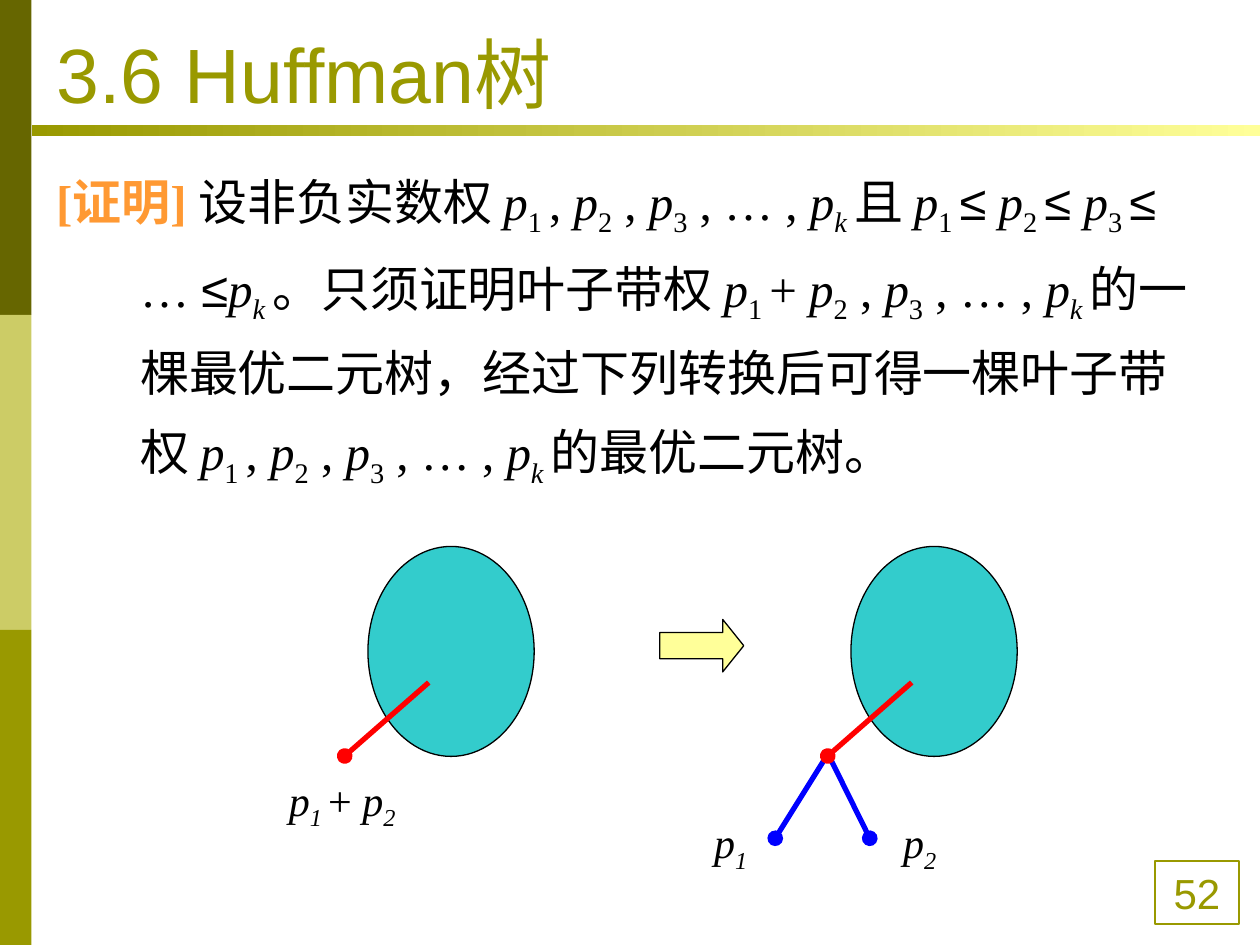
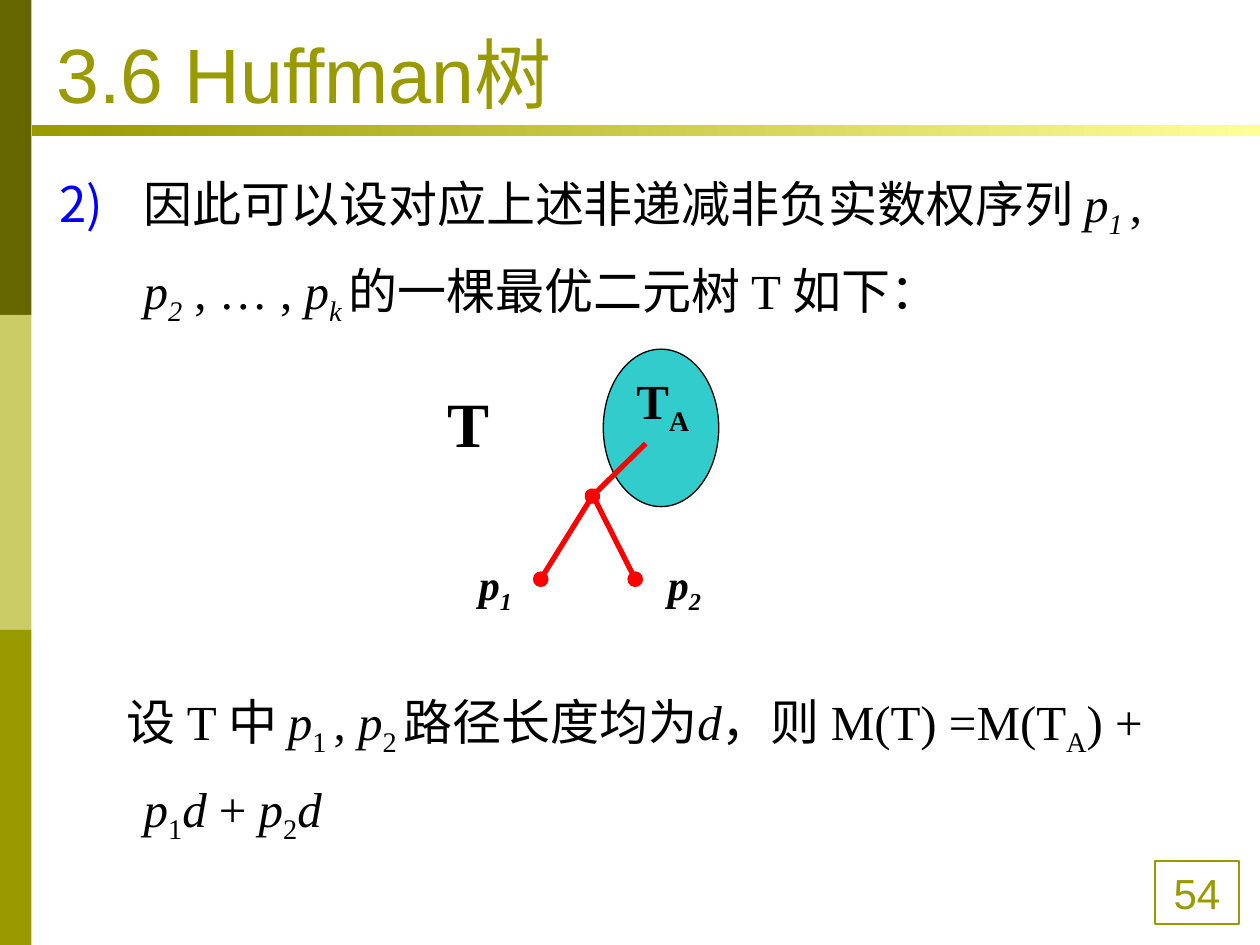
"""Build two slides on the Huffman tree proof."""

from dataclasses import dataclass

import pptx
import pptx.dml.color
import pptx.enum.shapes
import pptx.enum.text
import pptx.oxml
import pptx.oxml.ns
import pptx.util
from lxml import etree
from pptx.dml.color import RGBColor
from pptx.enum.shapes import MSO_CONNECTOR, MSO_SHAPE
from pptx.enum.text import MSO_ANCHOR, MSO_AUTO_SIZE, PP_ALIGN
from pptx.util import Pt

OLIVE = RGBColor(0x99, 0x99, 0x00)
DARK_OLIVE = RGBColor(0x66, 0x66, 0x00)
PALE_OLIVE = RGBColor(0xCC, 0xCC, 0x66)
YELLOW = RGBColor(0xFF, 0xFF, 0x99)
ORANGE = RGBColor(0xFF, 0x99, 0x33)
TEAL = RGBColor(0x33, 0xCC, 0xCC)
RED = RGBColor(0xFF, 0x00, 0x00)
BLUE = RGBColor(0x00, 0x00, 0xFF)
BLACK = RGBColor(0x00, 0x00, 0x00)

SANS = "Arial"
SERIF = "Times New Roman"
TITLE = "3.6 Huffman树"
WEIGHTS = "*p*_1 _, *p*_2_ , *p*_3_ , … , *p_k _*"
PROOF = (
    f"设非负实数权 {WEIGHTS}且 *p*_1 _≤ *p*_2 _≤ *p*_3 _≤ … ≤*p_k _*。"
    "只须证明叶子带权 *p*_1 _+ *p*_2_ , *p*_3_ , … , *p_k _*"
    f"的一棵最优二元树，经过下列转换后可得一棵叶子带权 {WEIGHTS}的最优二元树。"
)
STEP = (
    "因此可以设对应上述非递减非负实数权序列 "
    "*p_1 _*, *p_2_* , … , *p_k _*的一棵最优二元树 T 如下："
)
PATH_LENGTH = (
    "设 T 中 *p*_1 _, *p*_2 _路径长度均为*d*，则 M(T) =M(T_A_) + "
    "*p*_1_*d* + *p*_2_*d*"
)


@dataclass(frozen=True)
class Frame:
    """Hold a position and size in points."""

    left: float
    top: float
    width: float
    height: float

    def lengths(self) -> list[pptx.util.Length]:
        """Return the four lengths for python-pptx."""
        return [Pt(v) for v in (self.left, self.top, self.width, self.height)]


@dataclass(frozen=True)
class Branch:
    """Describe a tree edge that ends in a round node."""

    start: tuple[float, float]
    end: tuple[float, float]
    color: RGBColor = RED


@dataclass(frozen=True)
class Label:
    """Describe a short text beside a tree."""

    text: str
    left: float
    top: float
    width: float = 48
    size: float = 24
    bold: bool = False


def add_span(para, text: str, font: str, size: float, color: RGBColor,
             bold: bool = False, italic: bool = False, lowered: bool = False) -> None:
    """Append one formatted run to a paragraph."""
    span = para.add_run()
    span.text = text
    span.font.name = font
    span.font.size = Pt(size)
    span.font.color.rgb = color
    span.font.bold = bold
    span.font.italic = italic
    if lowered:
        span.font._element.set("baseline", "-25000")


def write(para, text: str, *, font: str = SERIF, size: float = 28,
          color: RGBColor = BLACK, bold: bool = False) -> None:
    """Write text in which * toggles italics and _ toggles subscripts."""
    for i, slanted in enumerate(text.split("*")):
        lowered = text.split("*")[:i]
        depth = "".join(lowered).count("_")
        for j, part in enumerate(slanted.split("_")):
            for k, piece in enumerate(part.split("≤")):
                if k:
                    add_span(para, "≤", SANS, size, color, bold)
                if piece:
                    add_span(para, piece, font, size, color, bold,
                             i % 2 == 1, (depth + j) % 2 == 1)


def add_box(slide, frame: Frame):
    """Add an empty wrapping text box and return its first paragraph."""
    box = slide.shapes.add_textbox(*frame.lengths())
    box.text_frame.word_wrap = True
    return box.text_frame.paragraphs[0]


def add_body(slide, frame: Frame, text: str, *, first_indent: float = -48,
             lead: str = "", number: int = 0) -> None:
    """Add a hanging body paragraph with an optional lead or number."""
    para = add_box(slide, frame)
    properties = para._p.get_or_add_pPr()
    properties.set("marL", str(Pt(48)))
    properties.set("indent", str(Pt(first_indent)))
    if number:
        bullet_color = etree.SubElement(properties, pptx.oxml.ns.qn("a:buClr"))
        etree.SubElement(bullet_color, pptx.oxml.ns.qn("a:srgbClr"), val=str(BLUE))
        etree.SubElement(properties, pptx.oxml.ns.qn("a:buAutoNum"),
                         type="arabicParenR", startAt=str(number))
    para.line_spacing = 1.3
    if lead:
        write(para, lead, color=ORANGE, bold=True)
    write(para, text)


def add_figure(slide, kind: MSO_SHAPE, frame: Frame, *,
               fill: RGBColor | None = None, line: RGBColor | None = None):
    """Add a flat preset shape."""
    shape = slide.shapes.add_shape(kind, *frame.lengths())
    shape.shadow.inherit = False
    if fill is None:
        shape.fill.background()
    else:
        shape.fill.solid()
        shape.fill.fore_color.rgb = fill
    if line is None:
        shape.line.fill.background()
    else:
        shape.line.color.rgb = line
        shape.line.width = Pt(0.75)
    return shape


def add_branch(slide, branch: Branch) -> None:
    """Draw a thick edge with an oval at its end."""
    points = [Pt(v) for v in (*branch.start, *branch.end)]
    edge = slide.shapes.add_connector(MSO_CONNECTOR.STRAIGHT, *points)
    edge.line.color.rgb = branch.color
    edge.line.width = Pt(3)
    etree.SubElement(edge.line._get_or_add_ln(), pptx.oxml.ns.qn("a:tailEnd"), type="oval")
    etree.SubElement(edge._element.spPr, pptx.oxml.ns.qn("a:effectLst"))


def add_labels(slide, labels: list[Label]) -> None:
    """Write the labels of a tree."""
    for label in labels:
        para = add_box(slide, Frame(label.left, label.top, label.width, label.size * 1.7))
        write(para, label.text, size=label.size, bold=label.bold)


def add_page(deck, number: int):
    """Add a slide with the shared bands, title and page number."""
    slide = deck.slides.add_slide(deck.slide_layouts[5])
    for i, color in enumerate((DARK_OLIVE, PALE_OLIVE, OLIVE)):
        add_figure(slide, MSO_SHAPE.RECTANGLE, Frame(0, 180 * i, 18, 180), fill=color)

    rule = add_figure(slide, MSO_SHAPE.RECTANGLE, Frame(18, 71.5, 702, 6.25))
    rule.fill.gradient()
    rule.fill.gradient_angle = 0
    for stop, position, color in zip(rule.fill.gradient_stops, (0, 1), (OLIVE, YELLOW)):
        stop.position = position
        stop.color.rgb = color

    page_box = add_figure(slide, MSO_SHAPE.RECTANGLE, Frame(660, 492, 48, 36), line=OLIVE)
    page_box.text_frame.vertical_anchor = MSO_ANCHOR.MIDDLE
    para = page_box.text_frame.paragraphs[0]
    para.alignment = PP_ALIGN.CENTER
    write(para, str(number), font=SANS, size=24, color=OLIVE)

    title = slide.shapes.title
    title.left, title.top, title.width, title.height = Frame(25, 9.5, 648, 62).lengths()
    title.text_frame.vertical_anchor = MSO_ANCHOR.BOTTOM
    title.text_frame.auto_size = MSO_AUTO_SIZE.NONE
    para = title.text_frame.paragraphs[0]
    para.alignment = PP_ALIGN.LEFT
    write(para, TITLE, font=SANS, size=44, color=OLIVE)
    return slide


def build_proof(deck) -> None:
    """Build the slide that turns one optimal tree into another."""
    slide = add_page(deck, 52)
    add_body(slide, Frame(25, 83, 663, 200), PROOF, lead="[证明] ")
    add_branch(slide, Branch((473, 431), (443, 479), BLUE))
    add_branch(slide, Branch((474.5, 433.5), (497, 479), BLUE))
    for shift in (0, 276):
        add_figure(slide, MSO_SHAPE.OVAL, Frame(210.25, 312.25, 95, 120),
                   fill=TEAL, line=BLACK).left += Pt(shift)
        add_branch(slide, Branch((245 + shift, 390), (197 + shift, 432)))
    arrow = add_figure(slide, MSO_SHAPE.RIGHT_ARROW, Frame(377, 354, 48, 30),
                       fill=YELLOW, line=BLACK)
    arrow.adjustments[1] = 0.4
    add_labels(slide, [
        Label("*p_1 _*+ *p_2_*", 158, 439, width=90),
        Label("*p_1_*", 401, 463),
        Label("*p_2_*", 509, 463),
    ])


def build_path_length(deck) -> None:
    """Build the slide that relates the weights of both trees."""
    slide = add_page(deck, 54)
    add_body(slide, Frame(27, 84, 673, 107), STEP, number=2)
    add_body(slide, Frame(27, 380, 673, 107), PATH_LENGTH, first_indent=-9.5)
    add_figure(slide, MSO_SHAPE.OVAL, Frame(344.75, 199.5, 66, 90), fill=TEAL, line=BLACK)
    for branch in (
        Branch((369, 253.5), (338.5, 283.5)),
        Branch((338.5, 283.5), (309, 331)),
        Branch((340.5, 286.5), (363, 331)),
    ):
        add_branch(slide, branch)
    add_labels(slide, [
        Label("*p_1_*", 266.5, 315.5, bold=True),
        Label("*p_2_*", 374.5, 315.5, bold=True),
        Label("T", 248.5, 216, size=36, bold=True),
        Label("T_A_", 356.5, 208, size=28, bold=True),
    ])


def main() -> None:
    """Create and save the deck."""
    deck = pptx.Presentation()
    deck.slide_width, deck.slide_height = Pt(720), Pt(540)
    build_proof(deck)
    build_path_length(deck)
    deck.save("out.pptx")


if __name__ == "__main__":
    main()
